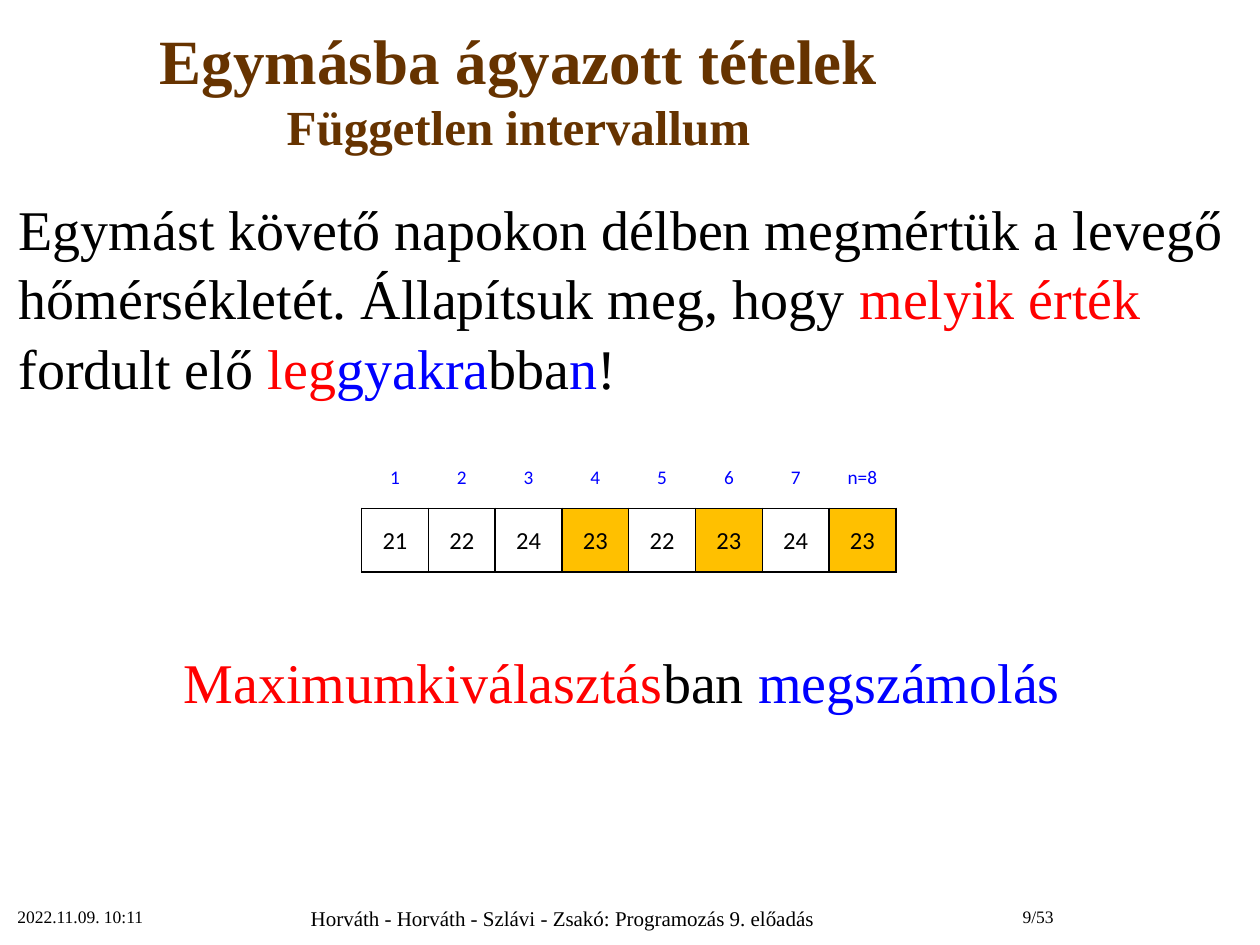
from typing import NamedTuple

from lxml.etree import SubElement as Sub
from pptx import Presentation
from pptx.dml.color import RGBColor as Rgb
from pptx.enum.text import MSO_ANCHOR as Anchor, PP_ALIGN as Align
from pptx.oxml.ns import qn
from pptx.util import Inches, Pt

WIDE, HIGH = 10, 7.5
SERIF, SANS = "Times New Roman", "Calibri"
HUES = {"black": "000000", "brown": "663300", "red": "FF0000",
        "blue": "0000FF", "white": "FFFFFF", "gold": "FFC000"}


class Run(NamedTuple):
    text: str
    hue: str = "black"


class Para(NamedTuple):
    runs: list[Run]
    size: float
    align: Align = Align.LEFT
    bold: bool = False
    before: float = 0
    line: float = 1.0


class Box(NamedTuple):
    # Shares of the slide's width and height
    left: float
    top: float
    width: float
    height: float
    paras: list[Para]
    anchor: Anchor = Anchor.TOP


def tint(hue: str) -> Rgb:
    return Rgb.from_string(HUES[hue])


def fill_para(p, para: Para, face: str) -> None:
    p.alignment, p.line_spacing = para.align, para.line
    p.space_before = Pt(para.before)
    p.font.name, p.font.size, p.font.bold = face, Pt(para.size), para.bold
    for part in para.runs:
        run = p.add_run()
        run.text = part.text
        run.font.color.rgb = tint(part.hue)


def draw_box(slide, box: Box) -> None:
    shape = slide.shapes.add_textbox(
        Inches(box.left * WIDE), Inches(box.top * HIGH),
        Inches(box.width * WIDE), Inches(box.height * HIGH))
    frame = shape.text_frame
    frame.word_wrap, frame.vertical_anchor = True, box.anchor
    for i, para in enumerate(box.paras):
        p = frame.add_paragraph() if i else frame.paragraphs[0]
        fill_para(p, para, SERIF)


def edge_cell(cell, sides: str) -> None:
    """Draw the named sides in black and clear the others."""
    props = cell._tc.get_or_add_tcPr()
    for i, side in enumerate("LRTB"):
        line = props.makeelement(qn(f"a:ln{side}"), {"w": str(Pt(1))})
        if side in sides:
            fill = Sub(line, qn("a:solidFill"))
            Sub(fill, qn("a:srgbClr"), val=HUES["black"])
        else:
            Sub(line, qn("a:noFill"))
        props.insert(i, line)


def draw_cell(cell, para: Para, back: str, sides: str) -> None:
    cell.margin_left = cell.margin_right = Inches(0.05)
    cell.margin_top = cell.margin_bottom = 0
    cell.vertical_anchor = Anchor.MIDDLE
    cell.fill.solid()
    cell.fill.fore_color.rgb = tint(back)
    edge_cell(cell, sides)
    fill_para(cell.text_frame.paragraphs[0], para, SANS)


def draw_days(slide, temps: list[int], top: int) -> None:
    """Number the days, and mark those with the most frequent value."""
    count, side = len(temps), 0.53
    table = slide.shapes.add_table(
        2, count, Inches(2.87), Inches(3.53),
        Inches(count * side), Inches(1.01)).table
    table.first_row = table.horz_banding = False
    for i, temp in enumerate(temps):
        table.columns[i].width = Inches(side)
        day = f"n={count}" if i == count - 1 else str(i + 1)
        head = Para([Run(day, "blue")], 11, Align.CENTER, line=1.07)
        body = Para([Run(str(temp))], 14, Align.CENTER, line=1.07)
        draw_cell(table.cell(0, i), head, "white", "B")
        draw_cell(table.cell(1, i), body,
                  "gold" if temp == top else "white", "LRTB")


# Title and subtitle
TITLE = Box(0, 0.012, 0.823, 0.163, [
    Para([Run("Egymásba ágyazott tételek", "brown")], 36, Align.CENTER, True),
    Para([Run("Független intervallum", "brown")], 28, Align.CENTER, True),
], Anchor.MIDDLE)

# Task, and the pair of patterns that solves it
TASK = Box(0.005, 0.196, 0.977, 0.693, [
    Para([Run("Egymást követő napokon délben megmértük a levegő "
              "hőmérsékletét. Állapítsuk meg, hogy "),
          Run("melyik érték ", "red"), Run("fordult elő"),
          Run(" leg", "red"), Run("gyakra", "blue"), Run("bba"),
          Run("n", "blue"), Run("!")], 32, line=1.04),
    Para([Run("Maximumkiválasztás", "red"), Run("ban "),
          Run("megszámolás", "blue")], 32, Align.CENTER, before=141),
])

# Footer
FOOT = 0.952
DATE = Box(0.004, FOOT, 0.208, 0.052, [Para([Run("2022.11.09. 10:11")], 10)])
NAMES = Box(0.212, FOOT, 0.469, 0.048, [
    Para([Run("Horváth - Horváth - Szlávi - Zsakó: Programozás 9. előadás")],
         12, Align.CENTER)])
PAGE = Box(0.719, FOOT, 0.127, 0.052, [Para([Run("9/53")], 10, Align.RIGHT)])


def main() -> None:
    deck = Presentation()
    deck.slide_width, deck.slide_height = Inches(WIDE), Inches(HIGH)
    slide = deck.slides.add_slide(deck.slide_layouts[6])
    for box in (TITLE, TASK, PAGE, DATE, NAMES):
        draw_box(slide, box)
    draw_days(slide, [21, 22, 24, 23, 22, 23, 24, 23], top=23)
    deck.save("out.pptx")


if __name__ == "__main__":
    main()
